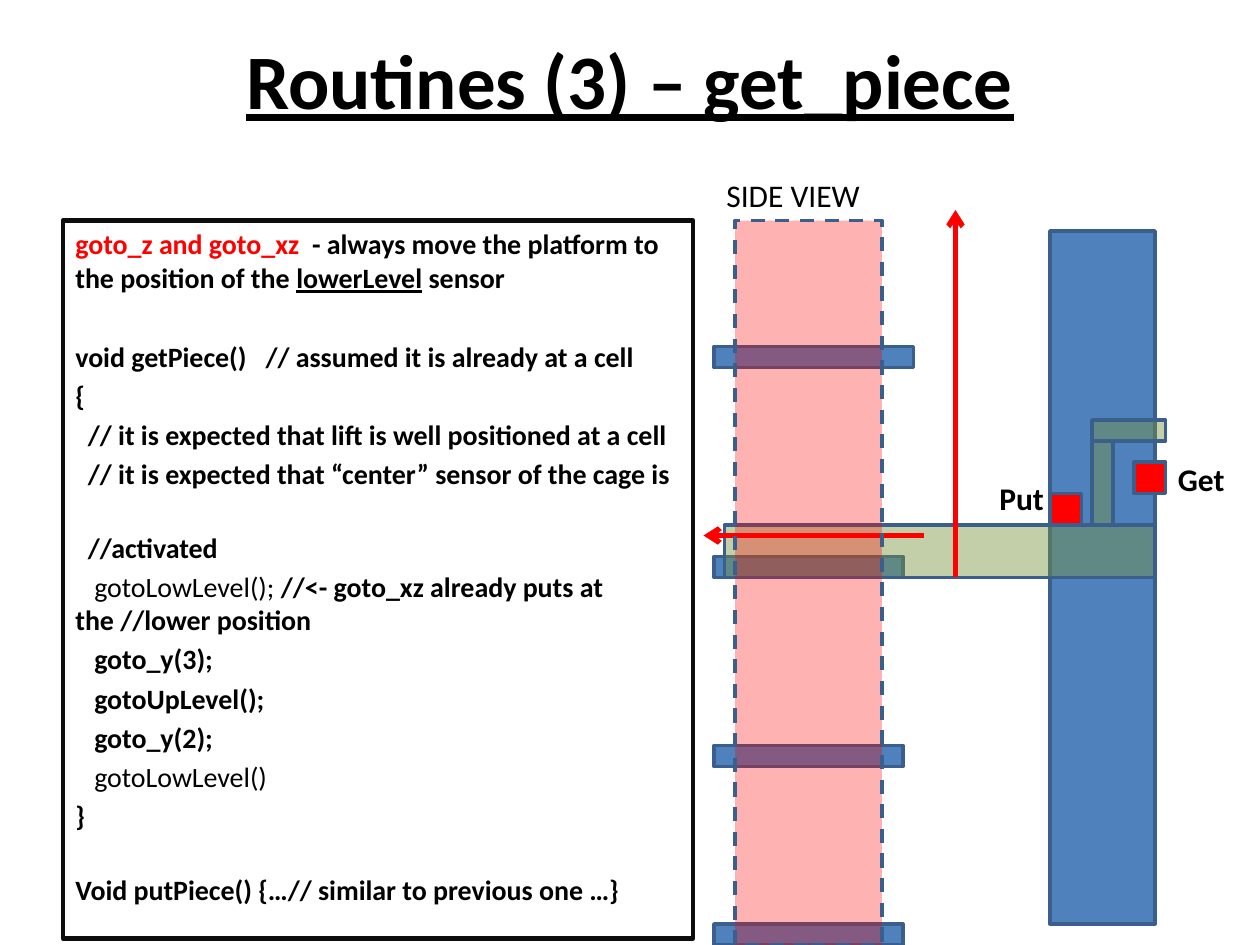
import pptx
import pptx.util
import pptx.dml.color
import pptx.enum.dml
import pptx.enum.shapes
import pptx.enum.text
import pptx.oxml.ns
import lxml.etree

Pt = pptx.util.Pt
WIDE, HIGH = pptx.util.Inches(10), pptx.util.Inches(7.5)
COLS, ROWS = 120, 90
HUES = {"ink": "000000", "frame": "0D0D0D", "red": "FF0000",
        "blue": "4F81BD", "edge": "3A5F8C", "green": "77933C"}
FACE = "Calibri"
STEP, BLANK, SKIP = 3.2, 22.7, 25.9
TWO, THREE = 7.2, 10.8

CODE = [
    (0, 0, [("goto_z and goto_xz", "red b"),
            ("  - always move the platform to the position of the ", "b"),
            ("lowerLevel", "b u"), (" sensor", "b")]),
    (SKIP, 0, [("void getPiece()   // assumed it is already at a cell", "b")]),
    (STEP, 0, [("{", "b")]),
    (STEP, TWO, [("// it is expected that lift is well positioned at a cell", "b")]),
    (STEP, TWO, [("// it is expected that “center” sensor of the cage is", "b")]),
    (BLANK, TWO, [("//activated", "b")]),
    (STEP, THREE, [("gotoLowLevel(); ", ""),
                   ("//<- goto_xz already puts at the //lower position", "b")]),
    (STEP, THREE, [("goto_y(3);", "b")]),
    (STEP, THREE, [("gotoUpLevel();", "b")]),
    (STEP, THREE, [("goto_y(2);", "b")]),
    (STEP, THREE, [("gotoLowLevel()", "")]),
    (STEP, 0, [("}", "b")]),
    (BLANK, 0, [("Void putPiece() {…// similar to previous one …}", "b")]),
]


def across(cols):
    return round(WIDE * cols / COLS)


def down(rows):
    return round(HIGH * rows / ROWS)


def place(left, top, wide, high):
    return across(left), down(top), across(wide), down(high)


def tint(name):
    return pptx.dml.color.RGBColor.from_string(HUES[name])


def add_run(para, text, marks, size):
    run = para.add_run()
    run.text = text
    font = run.font
    font.name, font.size = FACE, Pt(size)
    font.bold, font.underline = "b" in marks.split(), "u" in marks.split()
    font.color.rgb = tint("red" if "red" in marks else "ink")


def add_title(slide, text):
    title = slide.shapes.title
    title.left, title.top, title.width, title.height = place(6, 0, 108, 15)
    frame = title.text_frame
    frame.vertical_anchor = pptx.enum.text.MSO_ANCHOR.MIDDLE
    para = frame.paragraphs[0]
    para.alignment = pptx.enum.text.PP_ALIGN.CENTER
    add_run(para, text, "b u", 44)


def add_code(slide, spot, lines):
    box = slide.shapes.add_textbox(*place(*spot))
    box.line.color.rgb, box.line.width = tint("frame"), Pt(2.5)
    frame = box.text_frame
    frame.word_wrap = True
    for row, (gap, dent, runs) in enumerate(lines):
        para = frame.add_paragraph() if row else frame.paragraphs[0]
        para.space_before = Pt(gap)
        para._p.get_or_add_pPr().set("indent", str(int(Pt(dent))))
        for text, marks in runs:
            add_run(para, text, marks, 16)


def add_label(slide, spot, text, marks, wrap=True):
    box = slide.shapes.add_textbox(*place(*spot))
    box.text_frame.word_wrap = wrap
    add_run(box.text_frame.paragraphs[0], text, marks, 18)


def add_bar(slide, spot, hue, alpha=None, dash=False):
    bar = slide.shapes.add_shape(
        pptx.enum.shapes.MSO_SHAPE.RECTANGLE, *place(*spot))
    bar.shadow.inherit = False
    bar.fill.solid()
    bar.fill.fore_color.rgb = tint(hue)
    bar.line.color.rgb, bar.line.width = tint("edge"), Pt(2)
    if dash:
        bar.line.dash_style = pptx.enum.dml.MSO_LINE.DASH
    if alpha:
        fill = bar._element.spPr.find(pptx.oxml.ns.qn("a:solidFill"))
        lxml.etree.SubElement(fill[0], pptx.oxml.ns.qn("a:alpha"),
                              val=str(alpha * 1000))


def add_arrow(slide, start, end):
    arrow = slide.shapes.add_connector(
        pptx.enum.shapes.MSO_CONNECTOR.STRAIGHT,
        across(start[0]), down(start[1]), across(end[0]), down(end[1]))
    arrow.line.color.rgb, arrow.line.width = tint("red"), Pt(3)
    qn = pptx.oxml.ns.qn
    lxml.etree.SubElement(arrow.line._get_or_add_ln(), qn("a:tailEnd"),
                          type="arrow")
    lxml.etree.SubElement(arrow._element.spPr, qn("a:effectLst"))


def main():
    deck = pptx.Presentation()
    deck.slide_width, deck.slide_height = WIDE, HIGH
    slide = deck.slides.add_slide(deck.slide_layouts[5])
    add_title(slide, "Routines (3) – get_piece")
    add_code(slide, (6, 21, 60, 68.4), CODE)
    for top, wide in ((33, 19), (53, 18), (71, 18), (88, 18)):
        add_bar(slide, (68, top, wide, 2), "blue")
    add_bar(slide, (100, 22, 10, 66), "blue")
    for left, top in ((100, 47), (108, 44)):
        add_bar(slide, (left, top, 3, 3), "red")
    add_label(slide, (111, 43.2, 7, 4.8), "Get", "b")
    add_label(slide, (94, 45, 7, 4.8), "Put", "b")
    for spot in ((69, 50, 41, 5), (104, 42, 2, 8)):
        add_bar(slide, spot, "green", 44)
    add_arrow(slide, (91, 55), (91, 20))
    add_arrow(slide, (88, 51), (67, 51))
    add_bar(slide, (104, 40, 7, 2), "green", 44)
    add_bar(slide, (70, 21, 14, 69), "red", 30, True)
    add_label(slide, (68, 16.2, 15.2, 4.8), "SIDE VIEW", "", False)
    deck.save("out.pptx")


if __name__ == "__main__":
    main()
